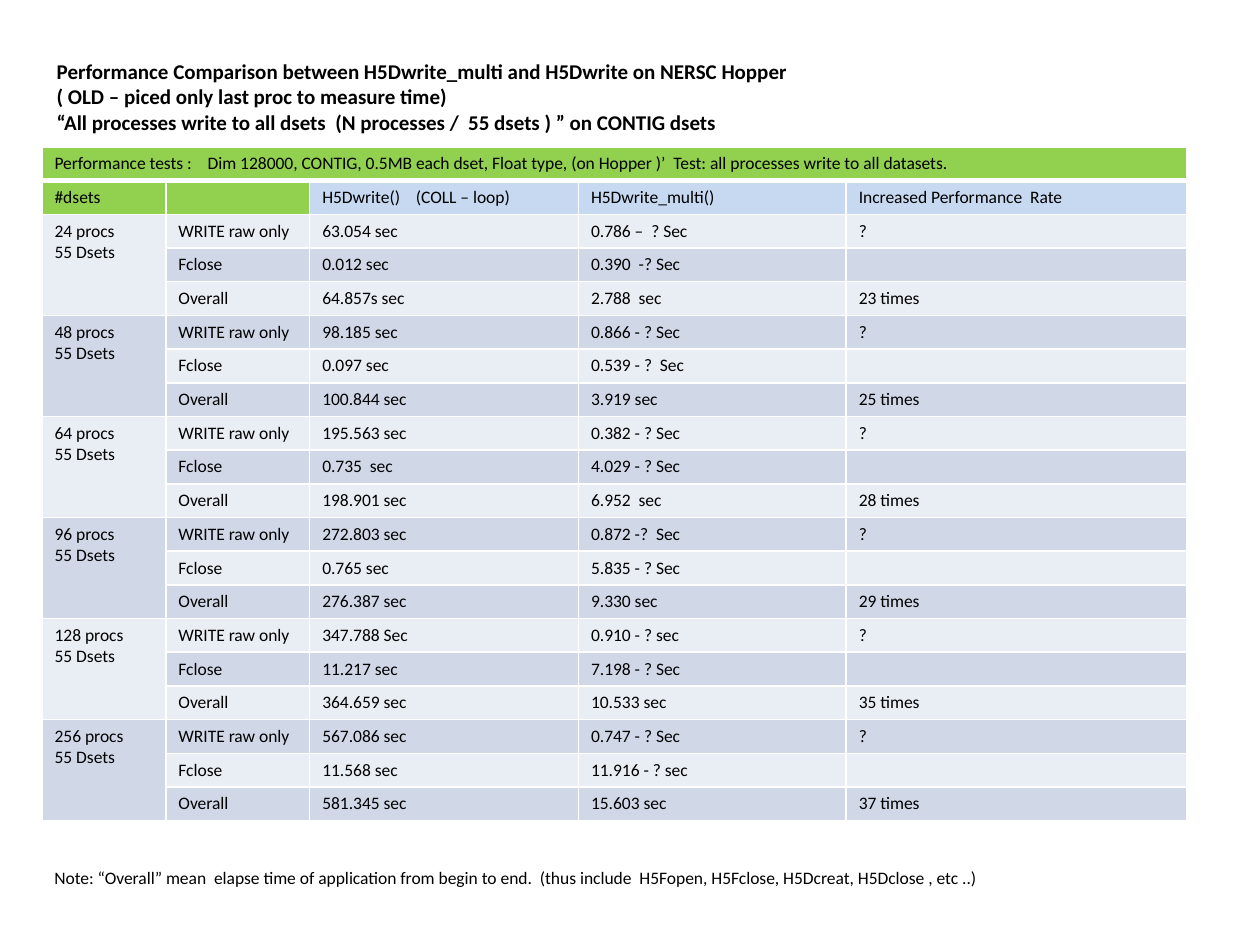
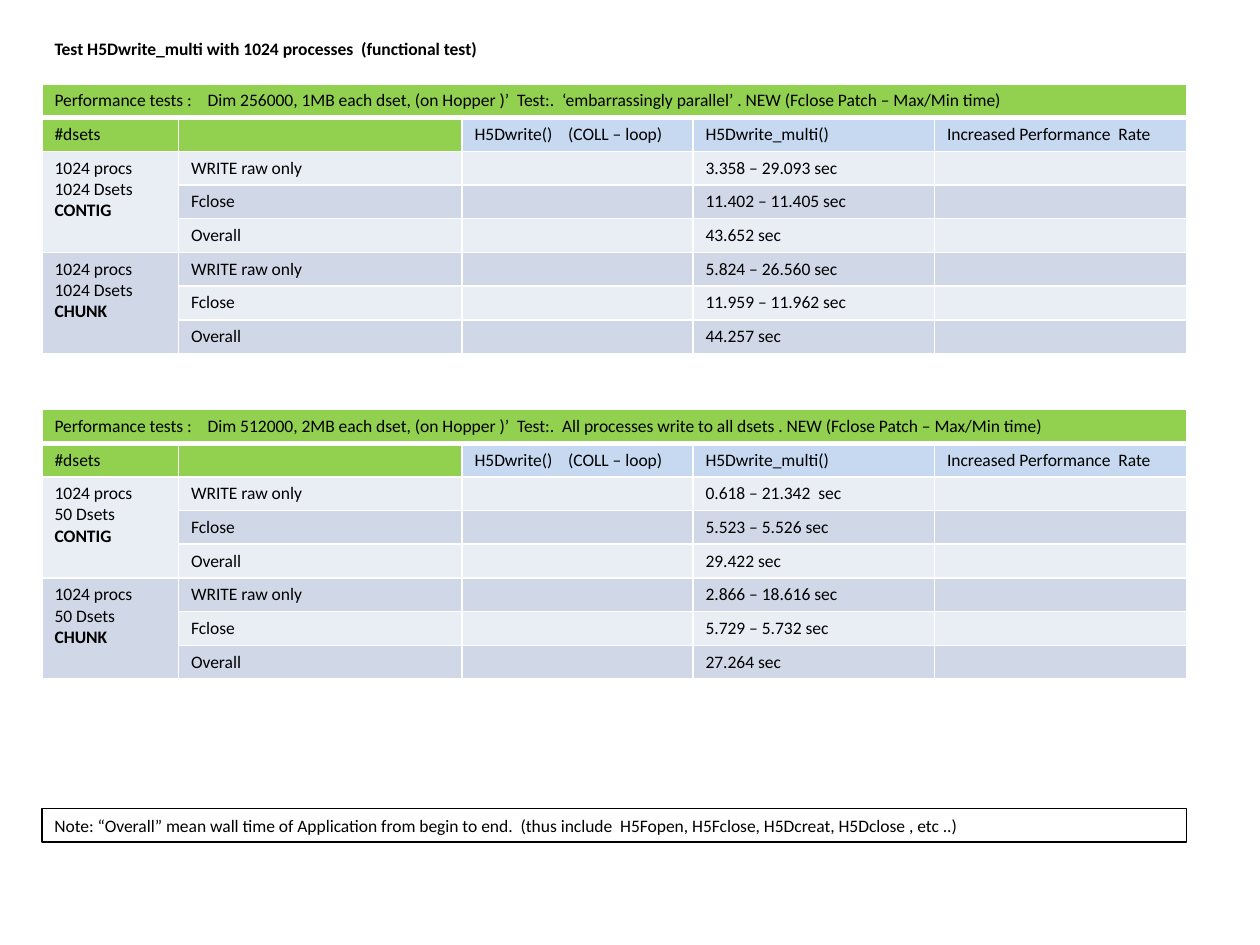
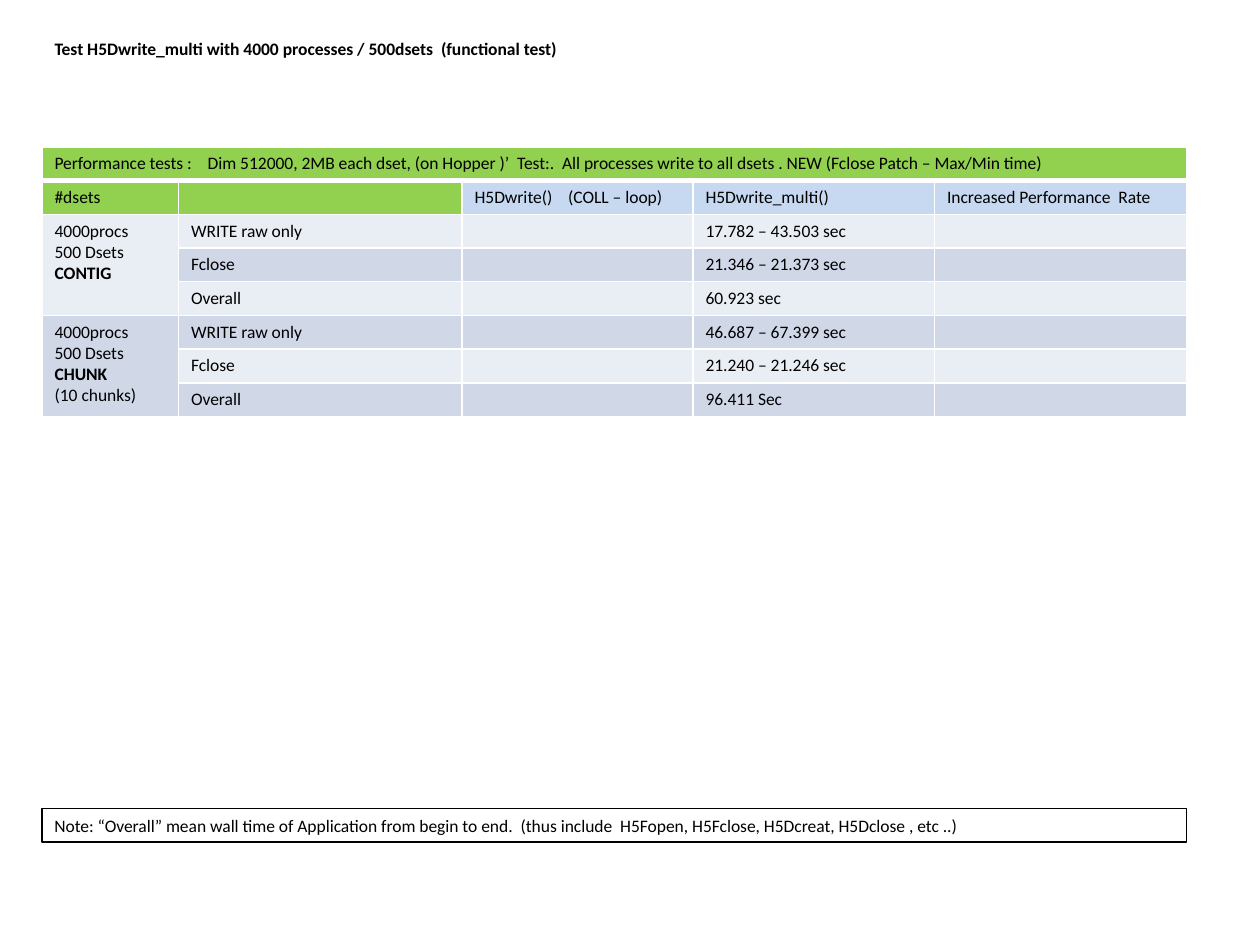
"""Build three slides of H5Dwrite_multi performance tables."""
from dataclasses import dataclass
from itertools import product

from lxml.etree import SubElement
from pptx import Presentation
from pptx.dml.color import RGBColor
from pptx.enum.text import MSO_ANCHOR as Anchor, MSO_AUTO_SIZE as AutoSize, PP_ALIGN as Align
from pptx.oxml.ns import qn
from pptx.util import Inches, Pt

COLORS = {
    "ink": "000000", "border": "FFFFFF", "header": "92D050",
    "method": "C6D9F1", "light": "E9EDF4", "dark": "D0D8E8",
}
FONT = "Calibri"
SLIDE_WIDTH, SLIDE_HEIGHT = Inches(10), Inches(7.5)
GRID_COLUMNS, GRID_ROWS = 120, 90
LEFT, CONTENT_WIDTH, ROW_HEIGHT = 4, 109, 3.2
HEADINGS = ("#dsets", "", "H5Dwrite()    (COLL – loop)", "H5Dwrite_multi()",
            "Increased Performance  Rate")
PHASES = ("WRITE raw only", "Fclose", "Overall")
STORAGE_KINDS = ("CONTIG", "CHUNK")
FUNCTIONAL_COLUMNS = (13, 27, 22, 23, 24)
COMPARISON_COLUMNS = (11.8, 13.7, 25.6, 25.5, 32.4)
WALL_TIME_NOTE = ("Note: “Overall” mean wall time of Application from begin to end.  "
                  "(thus include  H5Fopen, H5Fclose, H5Dcreat, H5Dclose , etc ..)")
ELAPSED_NOTE = ("Note: “Overall” mean  elapse time of application from begin to end.  "
                "(thus include  H5Fopen, H5Fclose, H5Dcreat, H5Dclose , etc ..)")
ALL_TO_ALL = ("Performance tests :    Dim 512000, 2MB each dset, (on Hopper )’  Test:.  "
              "All processes write to all dsets . NEW (Fclose Patch – Max/Min time)")


@dataclass(frozen=True)
class Box:
    """A place on the slide grid."""
    left: float
    top: float
    width: float
    height: float

    def emu(self) -> tuple[int, int, int, int]:
        """Return left, top, width and height in slide units."""
        return (across(self.left), down(self.top), across(self.width), down(self.height))


@dataclass(frozen=True)
class Run:
    """Timings of one processes and datasets setup, one value per phase."""
    label: str
    multi: tuple[str, str, str]
    loop: tuple[str, str, str] = ("", "", "")
    rate: tuple[str, str, str] = ("", "", "")


@dataclass(frozen=True)
class Benchmark:
    """A table of runs under one test description."""
    top: float
    columns: tuple[float, ...]
    description: str
    runs: tuple[Run, ...]


@dataclass(frozen=True)
class Page:
    """Everything one slide shows."""
    title: str
    title_box: Box
    title_size: int
    benchmarks: tuple[Benchmark, ...]
    note: str
    note_top: float
    note_framed: bool


def across(columns: float) -> int:
    """Convert grid columns to a length."""
    return round(SLIDE_WIDTH * columns / GRID_COLUMNS)


def down(rows: float) -> int:
    """Convert grid rows to a length."""
    return round(SLIDE_HEIGHT * rows / GRID_ROWS)


def color(name: str) -> RGBColor:
    """Look up a palette colour."""
    return RGBColor.from_string(COLORS[name])


def write_text(frame, text: str, *, size: int = 10, bold: bool = False,
               bold_lines: tuple[str, ...] = ()) -> None:
    """Fill a text frame with one left-aligned paragraph per line."""
    frame.word_wrap = True
    frame.vertical_anchor = Anchor.TOP
    for index, line in enumerate(text.split("\n")):
        paragraph = frame.add_paragraph() if index else frame.paragraphs[0]
        paragraph.alignment = Align.LEFT
        if not line:
            SubElement(paragraph._p, qn("a:endParaRPr"), sz=str(size * 100))
            continue
        run = paragraph.add_run()
        run.text = line
        run.font.name = FONT
        run.font.size = Pt(size)
        run.font.bold = bold or line in bold_lines
        run.font.color.rgb = color("ink")


def set_borders(cell, bottom_width: int) -> None:
    """Draw the white cell borders."""
    properties = cell._tc.get_or_add_tcPr()
    for position, side in enumerate(("lnL", "lnR", "lnT", "lnB")):
        width = bottom_width if side == "lnB" else 1
        line = SubElement(properties, qn(f"a:{side}"), w=str(Pt(width)))
        fill = SubElement(line, qn("a:solidFill"))
        SubElement(fill, qn("a:srgbClr"), val=COLORS["border"])
        properties.remove(line)
        properties.insert(position, line)


def cell_fill(row: int, column: int) -> str:
    """Choose the palette colour of a table cell."""
    if row == 0 or (row == 1 and column < 2):
        return "header"
    if row == 1:
        return "method"
    return "dark" if row % 2 else "light"


def table_rows(benchmark: Benchmark) -> list[tuple[str, ...]]:
    """List the texts of a benchmark table row by row."""
    rows = [(benchmark.description, "", "", "", ""), HEADINGS]
    for run in benchmark.runs:
        labels = (run.label, "", "")
        rows.extend(zip(labels, PHASES, run.loop, run.multi, run.rate))
    return rows


def draw_benchmark(slide, benchmark: Benchmark) -> None:
    """Add a benchmark table with merged description and run labels."""
    rows = table_rows(benchmark)
    box = Box(LEFT, benchmark.top, CONTENT_WIDTH, ROW_HEIGHT * len(rows))
    table = slide.shapes.add_table(len(rows), len(HEADINGS), *box.emu()).table
    table.first_row = table.horz_banding = False
    for column, width in zip(table.columns, benchmark.columns):
        column.width = across(width)
    for row, column in product(range(len(rows)), range(len(HEADINGS))):
        cell = table.cell(row, column)
        write_text(cell.text_frame, rows[row][column], bold_lines=STORAGE_KINDS)
        cell.fill.solid()
        cell.fill.fore_color.rgb = color(cell_fill(row, column))
        set_borders(cell, 1 if row else 3)
    table.cell(0, 0).merge(table.cell(0, len(HEADINGS) - 1))
    for first in range(2, len(rows), len(PHASES)):
        table.cell(first, 0).merge(table.cell(first + len(PHASES) - 1, 0))


def draw_title(slide, page: Page) -> None:
    """Place and format the slide title."""
    title = slide.shapes.title
    title.left, title.top, title.width, title.height = page.title_box.emu()
    write_text(title.text_frame, page.title, size=page.title_size, bold=True)
    title.text_frame.auto_size = AutoSize.SHAPE_TO_FIT_TEXT


def draw_note(slide, page: Page) -> None:
    """Add the note below the tables, framed if asked."""
    box = Box(LEFT, page.note_top, CONTENT_WIDTH, ROW_HEIGHT)
    note = slide.shapes.add_textbox(*box.emu())
    write_text(note.text_frame, page.note)
    note.text_frame.auto_size = AutoSize.SHAPE_TO_FIT_TEXT
    if page.note_framed:
        note.line.color.rgb = color("ink")
        note.line.width = Pt(0.75)


def comparison_run(processes: int, loop: tuple[str, str, str],
                   multi: tuple[str, str, str], times: int) -> Run:
    """Describe a 55-dataset run comparing both calls."""
    return Run(f"{processes} procs\n55 Dsets", multi, loop, ("?", "", f"{times} times"))


def functional_page(title: str, title_width: float, *benchmarks: Benchmark) -> Page:
    """Describe a slide of functional tests."""
    return Page(title, Box(LEFT, 3, title_width, ROW_HEIGHT), 10, benchmarks,
                WALL_TIME_NOTE, 77, True)


PAGES = (
    Page(
        "Performance Comparison between H5Dwrite_multi and H5Dwrite on NERSC Hopper\n"
        "( OLD – piced only last proc to measure time)\n"
        "“All processes write to all dsets  (N processes /  55 dsets ) ” on CONTIG dsets",
        Box(4.2, 5, CONTENT_WIDTH, 8.5), 12,
        (Benchmark(
            14, COMPARISON_COLUMNS,
            "Performance tests :    Dim 128000, CONTIG, 0.5MB each dset, Float type, "
            "(on Hopper )’  Test: all processes write to all datasets.",
            (
                comparison_run(24, ("63.054 sec", "0.012 sec", "64.857s sec"),
                               ("0.786 –  ? Sec", "0.390  -? Sec", "2.788  sec"), 23),
                comparison_run(48, ("98.185 sec", "0.097 sec", "100.844 sec"),
                               ("0.866 - ? Sec", "0.539 - ?  Sec", "3.919 sec"), 25),
                comparison_run(64, ("195.563 sec", "0.735  sec", "198.901 sec"),
                               ("0.382 - ? Sec", "4.029 - ? Sec", "6.952  sec"), 28),
                comparison_run(96, ("272.803 sec", "0.765 sec", "276.387 sec"),
                               ("0.872 -?  Sec", "5.835 - ? Sec", "9.330 sec"), 29),
                comparison_run(128, ("347.788 Sec", "11.217 sec", "364.659 sec"),
                               ("0.910 - ? sec", "7.198 - ? Sec", "10.533 sec"), 35),
                comparison_run(256, ("567.086 sec", "11.568 sec", "581.345 sec"),
                               ("0.747 - ? Sec", "11.916 - ? sec", "15.603 sec"), 37),
            )),),
        ELAPSED_NOTE, 82, False),
    functional_page(
        "Test H5Dwrite_multi with 1024 processes  (functional test)", 44,
        Benchmark(
            8, FUNCTIONAL_COLUMNS,
            "Performance tests :    Dim 256000, 1MB each dset, (on Hopper )’  Test:.  "
            "‘embarrassingly parallel’ . NEW (Fclose Patch – Max/Min time)",
            (
                Run("1024 procs\n1024 Dsets\nCONTIG",
                    ("3.358 – 29.093 sec", "11.402 – 11.405 sec", "43.652 sec")),
                Run("1024 procs\n1024 Dsets\nCHUNK",
                    ("5.824 – 26.560 sec", "11.959 – 11.962 sec", "44.257 sec")),
            )),
        Benchmark(
            39, FUNCTIONAL_COLUMNS, ALL_TO_ALL,
            (
                Run("1024 procs\n50 Dsets\nCONTIG",
                    ("0.618 – 21.342  sec", "5.523 – 5.526 sec", "29.422 sec")),
                Run("1024 procs\n50 Dsets\nCHUNK",
                    ("2.866 – 18.616 sec", "5.729 – 5.732 sec", "27.264 sec")),
            ))),
    functional_page(
        "Test H5Dwrite_multi with 4000 processes / 500dsets  (functional test)", 54.5,
        Benchmark(
            14, FUNCTIONAL_COLUMNS, ALL_TO_ALL,
            (
                Run("4000procs\n500 Dsets\nCONTIG",
                    ("17.782 – 43.503 sec", "21.346 – 21.373 sec", "60.923 sec")),
                Run("4000procs\n500 Dsets\nCHUNK\n(10 chunks)",
                    ("46.687 – 67.399 sec", "21.240 – 21.246 sec", "96.411 Sec")),
            ))),
)


def main() -> None:
    """Build and save the presentation."""
    deck = Presentation()
    deck.slide_width, deck.slide_height = SLIDE_WIDTH, SLIDE_HEIGHT
    title_only = deck.slide_layouts.get_by_name("Title Only")
    for page in PAGES:
        slide = deck.slides.add_slide(title_only)
        draw_title(slide, page)
        for benchmark in page.benchmarks:
            draw_benchmark(slide, benchmark)
        draw_note(slide, page)
    deck.save("out.pptx")


if __name__ == "__main__":
    main()
